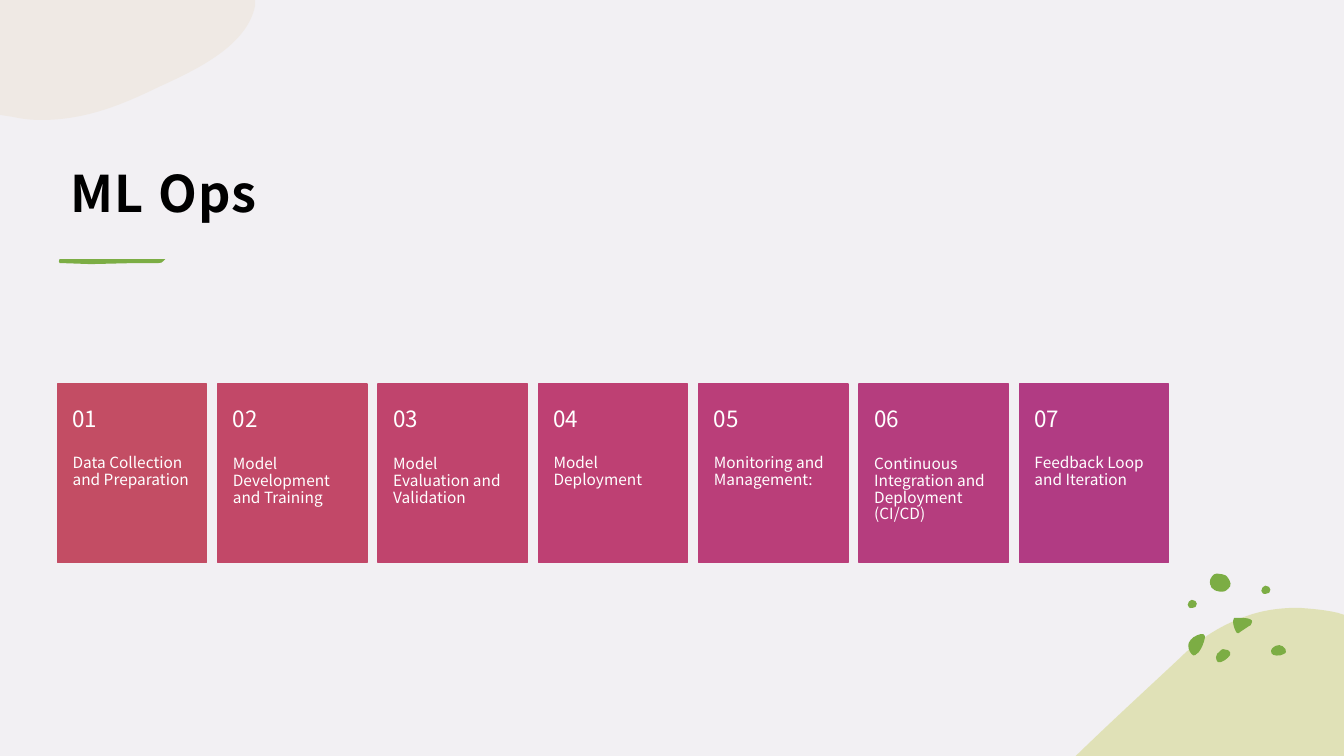
from lxml.etree import SubElement
from pptx import Presentation
from pptx.dml.color import RGBColor
from pptx.enum.shapes import MSO_SHAPE
from pptx.enum.text import MSO_ANCHOR
from pptx.oxml.ns import qn
from pptx.util import Inches, Pt

FONT = "Noto Sans CJK JP"
COLORS = {
    "background": "F2F0F3",
    "sand": "E7D6B8",
    "olive": "D0D47D",
    "green": "7CAD44",
    "title": "000000",
    "step text": "FFFFFF",
}
STEPS = [
    ("Data Collection and Preparation", "C34D64"),
    ("Model Development and Training", "C24868"),
    ("Model Evaluation and Validation", "C0446D"),
    ("Model Deployment", "BE4073"),
    ("Monitoring and Management:", "BA3E79"),
    ("Continuous Integration and Deployment (CI/CD)", "B53D7E"),
    ("Feedback Loop and Iteration", "B13B83"),
]

presentation = Presentation()
presentation.slide_width = Inches(13.33)
presentation.slide_height = Inches(7.5)
slide = presentation.slides.add_slide(presentation.slide_layouts[6])
slide.background.fill.solid()
slide.background.fill.fore_color.rgb = RGBColor.from_string(COLORS["background"])


def add_outline(start, segments, color, opacity=100):
    """Fill a closed outline; a segment is a line (x, y) or a Bezier of three points."""
    groups = [[(Inches(x), Inches(y)) for x, y in zip(segment[::2], segment[1::2])]
              for segment in [start, *segments]]
    points = [point for group in groups for point in group]
    builder = slide.shapes.build_freeform(*points[0])
    builder.add_line_segments(points[1:], close=True)
    outline = builder.convert_to_shape()
    outline.shadow.inherit = False
    outline.line.fill.background()
    outline.fill.solid()
    outline.fill.fore_color.rgb = RGBColor.from_string(color)

    # Rewrite the straight path with its curves
    contour = outline._element.find(f".//{qn('a:path')}")
    for command in list(contour):
        contour.remove(command)
    for index, group in enumerate(groups):
        tag = "a:moveTo" if index == 0 else "a:lnTo" if len(group) == 1 else "a:cubicBezTo"
        command = SubElement(contour, qn(tag))
        for x, y in group:
            SubElement(command, qn("a:pt"), x=str(x - outline.left), y=str(y - outline.top))
    SubElement(contour, qn("a:close"))

    if opacity < 100:
        tint = outline._element.find(f".//{qn('a:solidFill')}/{qn('a:srgbClr')}")
        SubElement(tint, qn("a:alpha"), val=str(opacity * 1000))


def add_text(text, box, insets, size, color, spacing, anchor=MSO_ANCHOR.TOP):
    frame = slide.shapes.add_textbox(*map(Inches, box)).text_frame
    frame.word_wrap = True
    frame.vertical_anchor = anchor
    (frame.margin_left, frame.margin_top,
     frame.margin_right, frame.margin_bottom) = map(Inches, insets)
    paragraph = frame.paragraphs[0]
    paragraph.line_spacing = spacing
    run = paragraph.add_run()
    run.text = text
    run.font.name = FONT
    run.font.size = Pt(size)
    run.font.color.rgb = RGBColor.from_string(color)
    return run


# Corner shapes
add_outline((0, 0), [
    (2.53, 0), (2.53, 0.06),
    (2.45, 0.44, 2, 0.67, 1.58, 0.86), (1.23, 1.03, 0.86, 1.19, 0.41, 1.19),
    (0.31, 1.19, 0.22, 1.18, 0.13, 1.16), (0, 1.14),
], COLORS["sand"], 25)

# Title and its brush stroke
title = add_text("ML Ops", (0.58, 0.86, 11.02, 1.45), (0.12, 0.12, 0.12, 0.1),
                 36, COLORS["title"], 1.17, MSO_ANCHOR.BOTTOM)
title.font.bold = True
title.font._element.set("spc", "100")
add_outline((0.59, 2.57), [
    (0.75, 2.57), (1.64, 2.57), (1.61, 2.58, 1.63, 2.61, 1.57, 2.61),
    (1.33, 2.61), (0.9, 2.62), (0.61, 2.61), (0.58, 2.62, 0.58, 2.58, 0.59, 2.57),
], COLORS["green"])

add_outline((12.88, 6.03), [
    (13.01, 6.04, 13.14, 6.05, 13.27, 6.08), (13.33, 6.1), (13.33, 7.5),
    (10.67, 7.5), (10.68, 7.49),
    (11.02, 7.16, 11.37, 6.84, 11.69, 6.54), (11.91, 6.32, 12.14, 6.19, 12.37, 6.11),
    (12.54, 6.05, 12.71, 6.03, 12.88, 6.03),
], COLORS["olive"], 50)

# Green pebbles
pebbles = [
    ((12.13, 6.44), [
        (12.15, 6.44, 12.16, 6.44, 12.18, 6.45), (12.2, 6.46, 12.21, 6.48, 12.2, 6.5),
        (12.18, 6.53, 12.12, 6.58, 12.08, 6.57), (12.07, 6.56, 12.06, 6.54, 12.06, 6.52),
        (12.06, 6.5, 12.08, 6.47, 12.1, 6.46), (12.11, 6.45, 12.12, 6.44, 12.13, 6.44)]),
    ((11.91, 6.29), [
        (11.93, 6.29, 11.95, 6.29, 11.95, 6.31), (11.95, 6.32, 11.95, 6.32, 11.95, 6.33),
        (11.94, 6.38, 11.92, 6.43, 11.89, 6.47), (11.87, 6.49, 11.84, 6.52, 11.82, 6.49),
        (11.79, 6.46, 11.78, 6.41, 11.79, 6.38), (11.8, 6.35, 11.82, 6.34, 11.84, 6.32),
        (11.85, 6.32, 11.88, 6.29, 11.91, 6.29)]),
    ((12.69, 6.4), [
        (12.71, 6.4, 12.74, 6.42, 12.75, 6.44), (12.76, 6.46, 12.76, 6.48, 12.73, 6.49),
        (12.7, 6.51, 12.62, 6.51, 12.61, 6.48), (12.6, 6.46, 12.61, 6.44, 12.62, 6.43),
        (12.64, 6.41, 12.66, 6.4, 12.69, 6.4)]),
    ((12.01, 5.81), [
        (12, 5.81, 11.99, 5.75, 12.02, 5.72), (12.04, 5.7, 12.04, 5.69, 12.07, 5.69),
        (12.1, 5.69, 12.14, 5.7, 12.16, 5.71), (12.18, 5.73, 12.22, 5.78, 12.2, 5.82),
        (12.17, 5.85, 12.16, 5.87, 12.12, 5.87), (12.09, 5.87, 12.04, 5.86, 12.03, 5.84),
        (12.01, 5.83, 12.01, 5.82, 12.01, 5.81)]),
    ((12.28, 6.13), [
        (12.34, 6.13, 12.45, 6.13, 12.41, 6.19), (12.41, 6.2, 12.4, 6.21, 12.39, 6.21),
        (12.36, 6.23, 12.33, 6.25, 12.3, 6.27), (12.29, 6.28, 12.28, 6.29, 12.27, 6.28),
        (12.27, 6.28, 12.26, 6.27, 12.26, 6.27), (12.24, 6.23, 12.23, 6.2, 12.23, 6.16),
        (12.23, 6.15, 12.23, 6.14, 12.24, 6.13)]),
]
small_pebble = [
    (0, -0.02, 0.02, -0.05, 0.04, -0.05), (0.07, -0.05, 0.09, -0.03, 0.09, -0.01),
    (0.09, 0.02, 0.07, 0.03, 0.05, 0.03), (0.02, 0.04, 0, 0.02, 0, 0),
]
for corner in [(12.51, 5.86), (11.78, 6)]:
    pebbles.append((corner, [tuple(value + corner[i % 2] for i, value in enumerate(curve))
                             for curve in small_pebble]))
for start, curves in pebbles:
    add_outline(start, curves, COLORS["green"])

# Step cards
card_left, card_top, card_pitch = 0.57, 3.81, 1.59
card_width, card_height, number_height = 1.48, 1.77, 0.71
for index, (step_name, card_color) in enumerate(STEPS):
    left = card_left + index * card_pitch
    card = slide.shapes.add_shape(MSO_SHAPE.RECTANGLE, Inches(left), Inches(card_top),
                                  Inches(card_width), Inches(card_height))
    card.shadow.inherit = False
    card.fill.solid()
    card.fill.fore_color.rgb = RGBColor.from_string(card_color)
    card.line.color.rgb = RGBColor.from_string(card_color)
    card.line.width = Pt(1)
    add_text(step_name, (left, 4.53, card_width, 1.06), (0.15, 0, 0.15, 0.36),
             11, COLORS["step text"], 0.9)
    add_text(f"{index + 1:02}", (left, card_top, card_width, number_height),
             (0.15, 0.18, 0.15, 0.18), 16, COLORS["step text"], 0.9, MSO_ANCHOR.MIDDLE)

presentation.save("out.pptx")
